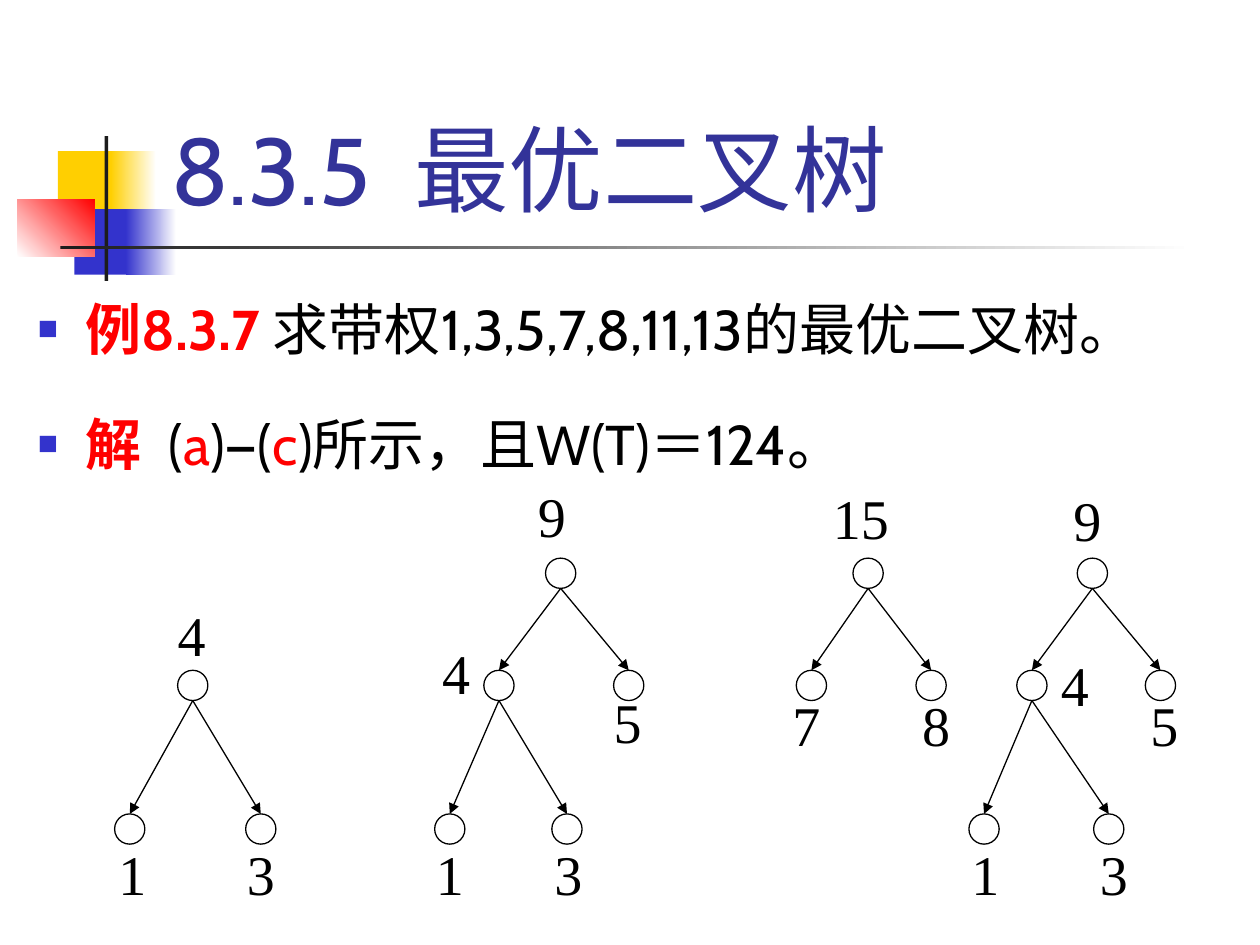
from dataclasses import dataclass
from typing import Iterator, Optional

import pptx
import pptx.dml.color
import pptx.enum.shapes
import pptx.enum.text
import pptx.oxml
import pptx.oxml.ns
import pptx.util
from lxml import etree

Inches = pptx.util.Inches
Pt = pptx.util.Pt
RGBColor = pptx.dml.color.RGBColor
Shapes = pptx.enum.shapes.MSO_SHAPE
Anchor = pptx.enum.text.MSO_ANCHOR
qn = pptx.oxml.ns.qn

BLACK = RGBColor(0x00, 0x00, 0x00)
WHITE = RGBColor(0xFF, 0xFF, 0xFF)
RED = RGBColor(0xFF, 0x00, 0x00)
YELLOW = RGBColor(0xFF, 0xCF, 0x01)
BLUE = RGBColor(0x33, 0x33, 0xCC)
TITLE_BLUE = RGBColor(0x33, 0x33, 0x99)
CHARCOAL = RGBColor(0x1C, 0x1C, 0x1C)

NODE_SIZE = 0.24
LEVEL_TOPS = (4.43, 5.32, 6.46)
LABEL_WIDTH, LABEL_HEIGHT = 0.87, 0.85


@dataclass
class Block:
    left: float
    top: float
    width: float
    height: float
    start: RGBColor
    end: Optional[RGBColor] = None
    angle: int = 0


@dataclass
class Words:
    text: str
    color: RGBColor = BLACK
    bold: bool = False
    tracking: int = 0  # extra letter spacing, hundredths of a point


@dataclass
class Node:
    weight: int
    center: float
    level: int
    label_left: float
    label_top: float
    children: tuple["Node", ...] = ()

    @property
    def top(self) -> float:
        return LEVEL_TOPS[self.level]


BLOCKS = (
    Block(0.46, 1.2, 0.48, 0.52, YELLOW),
    Block(0.88, 1.2, 0.36, 0.52, YELLOW, WHITE),
    Block(0.59, 1.66, 0.46, 0.52, BLUE),
    Block(1, 1.66, 0.4, 0.52, BLUE, WHITE),
    Block(0.14, 1.58, 0.61, 0.46, WHITE, RED, 45),
    Block(0.83, 1.08, 0.03, 1.15, CHARCOAL),
    Block(0.48, 1.95, 9, 0.03, CHARCOAL, WHITE),
)

TITLE = (Words("8.3.5", TITLE_BLUE), Words(" ", TITLE_BLUE, tracking=1300),
         Words("最优二叉树", TITLE_BLUE))
BODY = (
    (Words("例8.3.7 ", RED, True), Words("求带权1,3,5,7,8,11,13的最优二叉树。")),
    (Words("解", RED, True), Words(" ", RED, True, tracking=800), Words("("),
     Words("a", RED), Words(")—("), Words("c", RED), Words(")所示，且W(T)＝124。")),
)

TREES = (
    Node(4, 1.53, 1, 1.3, 4.71, (
        Node(1, 1.03, 2, 0.83, 6.6),
        Node(3, 2.07, 2, 1.85, 6.6))),
    Node(9, 4.45, 0, 4.16, 3.76, (
        Node(4, 3.96, 1, 3.4, 5.01, (
            Node(1, 3.57, 2, 3.35, 6.6),
            Node(3, 4.5, 2, 4.29, 6.6))),
        Node(5, 4.99, 1, 4.76, 5.4))),
    Node(15, 6.89, 0, 6.5, 3.78, (
        Node(7, 6.44, 1, 6.18, 5.42),
        Node(8, 7.39, 1, 7.21, 5.42))),
    Node(9, 8.67, 0, 8.41, 3.79, (
        Node(4, 8.19, 1, 8.31, 5.1, (
            Node(1, 7.81, 2, 7.6, 6.6),
            Node(3, 8.8, 2, 8.62, 6.6))),
        Node(5, 9.21, 1, 9.02, 5.42))),
)


def apply(target, values: dict) -> None:
    for name, value in values.items():
        setattr(target, name, value)


def place(shape, left: float, top: float, width: float, height: float) -> None:
    apply(shape, {"left": Inches(left), "top": Inches(top),
                  "width": Inches(width), "height": Inches(height)})


def add_words(paragraph, words: tuple[Words, ...], size: int) -> None:
    for part in words:
        run = paragraph.add_run()
        run.text = part.text
        apply(run.font, {"name": "Cabin", "size": Pt(size), "bold": part.bold})
        run.font.color.rgb = part.color
        if part.tracking:
            run.font._element.set("spc", str(part.tracking))


def add_bullet(paragraph) -> None:
    properties = paragraph._p.get_or_add_pPr()
    properties.set("marL", str(Inches(0.38)))
    properties.set("indent", str(Inches(-0.38)))
    color = etree.SubElement(properties, qn("a:buClr"))
    etree.SubElement(color, qn("a:srgbClr"), val=str(BLUE))
    etree.SubElement(properties, qn("a:buSzPct"), val="60000")
    etree.SubElement(properties, qn("a:buFont"), typeface="Arial")
    etree.SubElement(properties, qn("a:buChar"), char="■")


def add_block(slide, block: Block) -> None:
    shape = slide.shapes.add_shape(
        Shapes.RECTANGLE, Inches(block.left), Inches(block.top),
        Inches(block.width), Inches(block.height))
    shape.shadow.inherit = False
    shape.line.fill.background()
    if block.end is None:
        shape.fill.solid()
        shape.fill.fore_color.rgb = block.start
        return
    shape.fill.gradient()
    shape.fill.gradient_angle = block.angle
    for stop, color in zip(shape.fill.gradient_stops, (block.start, block.end)):
        stop.color.rgb = color


def add_white_shape(slide, kind, left, top, width, height, outline: RGBColor):
    shape = slide.shapes.add_shape(kind, Inches(left), Inches(top), Inches(width), Inches(height))
    shape.shadow.inherit = False
    shape.fill.solid()
    shape.fill.fore_color.rgb = WHITE
    shape.line.color.rgb = outline
    shape.line.width = Pt(0.75)
    return shape


def add_label(slide, node: Node) -> None:
    shape = add_white_shape(slide, Shapes.RECTANGLE, node.label_left, node.label_top,
                            LABEL_WIDTH, LABEL_HEIGHT, WHITE)
    apply(shape.text_frame, {
        "margin_left": Inches(0.11), "margin_right": Inches(0.11),
        "margin_top": Inches(0.06), "margin_bottom": Inches(0.06),
        "vertical_anchor": Anchor.TOP, "word_wrap": True})
    paragraph = shape.text_frame.paragraphs[0]
    paragraph.alignment = pptx.enum.text.PP_ALIGN.LEFT
    run = paragraph.add_run()
    run.text = str(node.weight)
    apply(run.font, {"name": "Times New Roman", "size": Pt(32)})
    run.font.color.rgb = BLACK


def add_circle(slide, node: Node) -> None:
    add_white_shape(slide, Shapes.OVAL, node.center - NODE_SIZE / 2, node.top,
                    NODE_SIZE, NODE_SIZE, BLACK)


def add_edges(slide, node: Node) -> None:
    for child in node.children:
        edge = slide.shapes.add_connector(
            pptx.enum.shapes.MSO_CONNECTOR.STRAIGHT,
            Inches(node.center), Inches(node.top + NODE_SIZE),
            Inches(child.center), Inches(child.top))
        edge.line.color.rgb = BLACK
        edge.line.width = Pt(0.75)
        etree.SubElement(edge.line._get_or_add_ln(), qn("a:tailEnd"), type="triangle")
        etree.SubElement(edge._element.spPr, qn("a:effectLst"))


def walk(node: Node) -> Iterator[Node]:
    yield node
    for child in node.children:
        yield from walk(child)


def main() -> None:
    presentation = pptx.Presentation()
    apply(presentation, {"slide_width": Inches(10), "slide_height": Inches(7.5)})
    slide = presentation.slides.add_slide(presentation.slide_layouts[1])

    # Corner decoration
    for block in BLOCKS:
        add_block(slide, block)

    # Title and body
    title, body = slide.shapes.title, slide.placeholders[1]
    place(title, 1.26, 0.23, 8.52, 1.6)
    place(body, 0.2, 2.02, 9.8, 5.48)
    for shape, anchor in ((title, Anchor.BOTTOM), (body, Anchor.TOP)):
        apply(shape.text_frame, {"vertical_anchor": anchor, "word_wrap": True,
                                 "auto_size": pptx.enum.text.MSO_AUTO_SIZE.NONE})
    heading = title.text_frame.paragraphs[0]
    heading.alignment = pptx.enum.text.PP_ALIGN.LEFT
    add_words(heading, TITLE, 54)
    for index, words in enumerate(BODY):
        paragraph = body.text_frame.add_paragraph() if index else body.text_frame.paragraphs[0]
        add_bullet(paragraph)
        apply(paragraph, {"line_spacing": 1.5, "space_before": Pt(8 if index else 0)})
        add_words(paragraph, words, 32)

    # Trees: labels at the back, then circles, then arrows
    nodes = [node for tree in TREES for node in walk(tree)]
    for draw in (add_label, add_circle, add_edges):
        for node in nodes:
            draw(slide, node)

    presentation.save("out.pptx")


if __name__ == "__main__":
    main()
